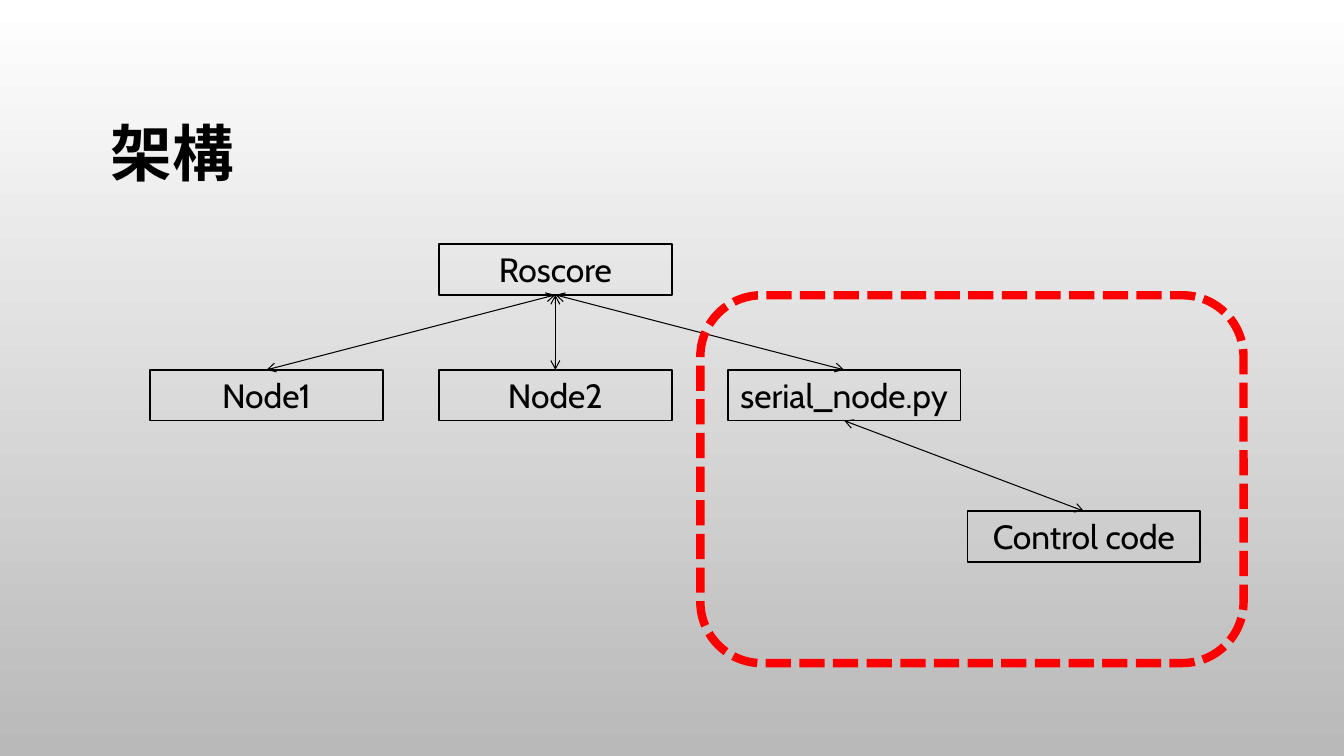
from lxml.etree import SubElement
from pptx import Presentation
from pptx.dml.color import RGBColor
from pptx.enum.dml import MSO_LINE
from pptx.enum.shapes import MSO_CONNECTOR, MSO_SHAPE
from pptx.enum.text import MSO_ANCHOR, MSO_AUTO_SIZE, PP_ALIGN
from pptx.oxml.ns import qn
from pptx.util import Cm, Pt


def rgb(value):
    """Turn a hex string into a colour."""
    return RGBColor.from_string(value)


def write(tf, text, size=24, bold=False, color="000000", font="Cabin",
          align=PP_ALIGN.LEFT, anchor=MSO_ANCHOR.TOP, spacing=None):
    """Write one formatted paragraph into a text frame."""
    tf.word_wrap = True
    tf.vertical_anchor = anchor
    p = tf.paragraphs[0]
    p.alignment = align
    p.line_spacing = spacing
    r = p.add_run()
    r.text = text
    r.font.size = Pt(size)
    r.font.bold = bold
    r.font.name = font
    r.font.color.rgb = rgb(color)


class Diagram:
    """Hold the diagram style and the current slide."""

    ink = "000000"
    accent = "FF0000"
    node_size = Cm(5.87), Cm(1.28)

    def __init__(self, prs):
        """Add a title-only slide."""
        self.s = prs.slides.add_slide(prs.slide_layouts[5])

    def background(self, top, bottom):
        """Fill the background from top to bottom."""
        fill = self.s.background.fill
        fill.gradient()
        fill.gradient_angle = 270
        for stop, color in zip(fill.gradient_stops, (top, bottom)):
            stop.color.rgb = rgb(color)

    def title(self, text):
        """Place and fill the title."""
        sp = self.s.shapes.title
        sp.left, sp.top, sp.width, sp.height = Cm(2.54), Cm(1.73), Cm(28.78), Cm(4.45)
        write(sp.text_frame, text, size=44, bold=True, color=self.ink,
              anchor=MSO_ANCHOR.MIDDLE, spacing=0.9)

    def outline(self, kind, x, y, w, h, color, weight):
        """Draw an unfilled shape."""
        sp = self.s.shapes.add_shape(kind, x, y, w, h)
        sp.shadow.inherit = False
        sp.fill.background()
        sp.line.color.rgb = rgb(color)
        sp.line.width = Pt(weight)
        return sp

    def node(self, text, x, y):
        """Draw a labelled node."""
        sp = self.outline(MSO_SHAPE.RECTANGLE, x, y, *self.node_size, self.ink, 1.25)
        write(sp.text_frame, text, color=self.ink, align=PP_ALIGN.CENTER)
        sp.text_frame.auto_size = MSO_AUTO_SIZE.SHAPE_TO_FIT_TEXT
        return sp

    def link(self, upper, lower):
        """Join two nodes with a two-headed arrow."""
        cxn = self.s.shapes.add_connector(MSO_CONNECTOR.STRAIGHT, 0, 0, 0, 0)
        cxn.begin_connect(upper, 2)
        cxn.end_connect(lower, 0)
        cxn.line.color.rgb = rgb(self.ink)
        cxn.line.width = Pt(0.75)
        ln = cxn.line._get_or_add_ln()
        for end in ("a:headEnd", "a:tailEnd"):
            SubElement(ln, qn(end), type="arrow")
        SubElement(cxn._element.spPr, qn("a:effectLst"))

    def frame(self, x, y, w, h):
        """Draw a dashed rounded frame."""
        sp = self.outline(MSO_SHAPE.ROUNDED_RECTANGLE, x, y, w, h, self.accent, 6)
        sp.line.dash_style = MSO_LINE.SQUARE_DOT


prs = Presentation()
prs.slide_width, prs.slide_height = Cm(33.87), Cm(19.05)

d = Diagram(prs)
d.background("FFFFFF", "B9B9B9")
d.title("架構")

columns = [Cm(3.78 + 7.28 * i) for i in range(3)]
core = d.node("Roscore", columns[1], Cm(6.15))
nodes = [d.node(text, x, Cm(9.32))
         for text, x in zip(("Node1", "Node2", "serial_node.py"), columns)]
board = d.node("Control code", Cm(24.38), Cm(12.88))

for node in nodes:
    d.link(core, node)
d.link(nodes[-1], board)
d.frame(Cm(17.65), Cm(7.44), Cm(13.69), Cm(9.27))

prs.save("out.pptx")
